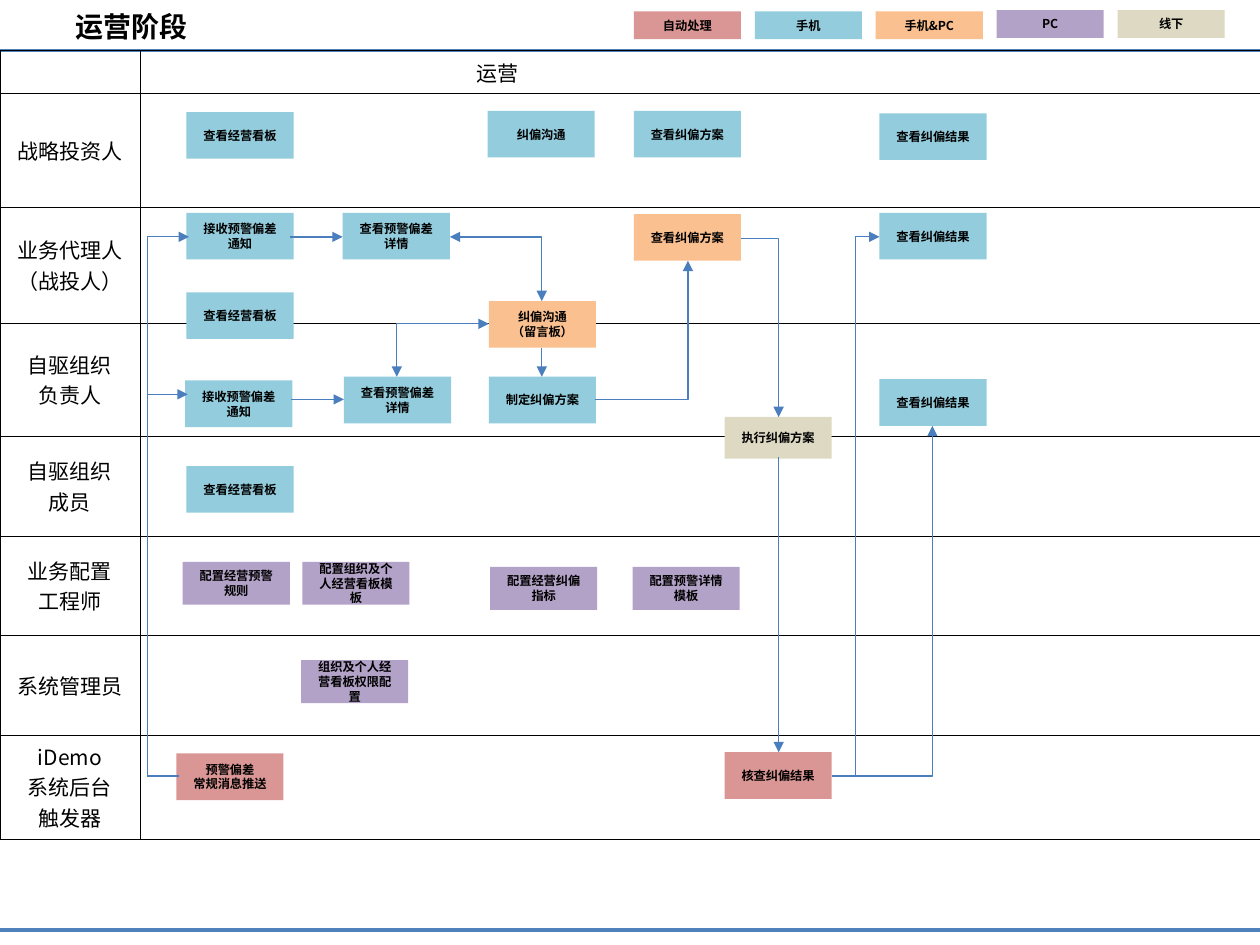
from dataclasses import dataclass

from lxml import etree
from pptx import Presentation
from pptx import util as u
from pptx.dml.color import RGBColor
from pptx.enum import shapes, text
from pptx.oxml.ns import qn


@dataclass(frozen=True)
class Theme:
    """Colours, font and type sizes of the slide."""
    font: str = "Noto Sans CJK SC"
    ink: str = "000000"
    frame: str = "4F81BD"
    flow: str = "4B7EBC"
    auto: str = "D99694"
    phone: str = "93CDDD"
    both: str = "FAC090"
    pc: str = "B3A2C7"
    offline: str = "DDD9C3"
    title_pt: float = 16
    lane_pt: float = 12
    box_pt: float = 7


T = Theme()
BOX_W, BOX_H, PC_H = 0.85, 0.37, 0.34

LANES = [  # label, row height
    ("", 0.34), ("战略投资人", 0.9), ("业务代理人\n（战投人）", 0.92),
    ("自驱组织\n负责人", 0.9), ("自驱组织\n成员", 0.79), ("业务配置\n工程师", 0.79),
    ("系统管理员", 0.79), ("iDemo\n系统后台\n触发器", 0.82),
]
LEGEND = [("自动处理", T.auto, 0.09), ("手机", T.phone, 0.09), ("手机&PC", T.both, 0.09),
          ("PC", T.pc, 0.08), ("线下", T.offline, 0.08)]
STEPS = {  # (fill, height): text, left, top
    (T.phone, BOX_H): [
        ("查看经营看板", 1.48, 0.89), ("纠偏沟通", 3.87, 0.88),
        ("查看纠偏方案", 5.03, 0.88), ("查看纠偏结果", 6.98, 0.9),
        ("接收预警偏差通知", 1.48, 1.69), ("查看预警偏差详情", 2.72, 1.69),
        ("查看纠偏结果", 6.98, 1.69), ("查看经营看板", 1.48, 2.32),
        ("接收预警偏差通知", 1.47, 3.02), ("查看预警偏差详情", 2.73, 2.99),
        ("制定纠偏方案", 3.88, 2.99), ("查看纠偏结果", 6.98, 3.01),
        ("查看经营看板", 1.48, 3.7)],
    (T.both, BOX_H): [("查看纠偏方案", 5.03, 1.7), ("纠偏沟通\n（留言板）", 3.88, 2.39)],
    (T.offline, 0.33): [("执行纠偏方案", 5.75, 3.31)],
    (T.pc, PC_H): [
        ("配置经营预警规则", 1.45, 4.46), ("配置组织及个人经营看板模板", 2.4, 4.46),
        ("配置经营纠偏指标", 3.89, 4.5), ("配置预警详情模板", 5.02, 4.5),
        ("组织及个人经营看板权限配置", 2.39, 5.24)],
    (T.auto, BOX_H): [("预警偏差\n常规消息推送", 1.4, 5.98), ("核查纠偏结果", 5.75, 5.97)],
}
STRAIGHT = [((2.3, 1.88), (2.72, 1.88)), ((2.31, 3.17), (2.73, 3.17)),
            ((4.3, 2.76), (4.3, 2.99)), ((6.18, 3.63), (6.18, 5.97))]
CORNERS = [  # start, end, arrowhead at both ends
    ((3.88, 2.57), (3.15, 2.99), True), ((3.57, 1.88), (4.3, 2.39), True),
    ((4.72, 3.17), (5.46, 2.07), False), ((5.88, 1.89), (6.18, 3.31), False),
    ((6.6, 6.16), (7.4, 3.38), False)]
DETOURS = [  # start, end, x of the vertical leg
    ((1.42, 6.16), (1.49, 3.13), 1.17), ((1.42, 6.16), (1.5, 1.88), 1.17),
    ((6.6, 6.16), (6.98, 1.88), 6.79)]


def rgb(value):
    """Turn a hex string into a colour."""
    return RGBColor.from_string(value)


def write(tf, content, size, bold=False, align=text.PP_ALIGN.CENTER):
    """Fill a text frame, one paragraph a line, in the theme font."""
    tf.text = content
    for p in tf.paragraphs:
        p.alignment = align
        f = p.font
        f.name, f.size, f.bold = T.font, u.Pt(size), bold
        f.color.rgb = rgb(T.ink)
        latin = f._rPr.find(qn("a:latin"))
        ea = etree.Element(qn("a:ea"), typeface=T.font)
        latin.addnext(ea)


def add_box(s, content, left, top, height, fill):
    """Add a filled rectangle with a bold centred label."""
    sp = s.shapes.add_shape(shapes.MSO_SHAPE.RECTANGLE, u.Inches(left), u.Inches(top),
                            u.Inches(BOX_W), u.Inches(height))
    sp.shadow.inherit = False
    sp.fill.solid()
    sp.fill.fore_color.rgb = rgb(fill)
    sp.line.fill.background()
    sp.text_frame.vertical_anchor = text.MSO_ANCHOR.MIDDLE
    write(sp.text_frame, content, T.box_pt, bold=True)


def add_flow(s, start, end, bend=None, via=None, both=False):
    """Add an arrow: straight, with one corner, or with a vertical leg at via."""
    kind = shapes.MSO_CONNECTOR.ELBOW if bend else shapes.MSO_CONNECTOR.STRAIGHT
    cn = s.shapes.add_connector(kind, *(u.Inches(v) for v in start + end))
    cn.line.color.rgb = rgb(T.flow)
    cn.line.width = u.Pt(0.75)
    ln = cn.line._get_or_add_ln()
    for tag in ("a:headEnd", "a:tailEnd") if both else ("a:tailEnd",):
        etree.SubElement(ln, qn(tag), type="triangle")
    sp_pr = cn._element.spPr
    etree.SubElement(sp_pr, qn("a:effectLst"))
    if bend:
        geom = sp_pr.find(qn("a:prstGeom"))
        geom.set("prst", bend)
        if via is not None:
            ratio = round((via - start[0]) / (end[0] - start[0]) * 100000)
            guides = geom.find(qn("a:avLst"))
            etree.SubElement(guides, qn("a:gd"), name="adj1", fmla=f"val {ratio}")


def add_grid(s, left, top, widths, heights, color, weight):
    """Add an unfilled table with one border style on all sides."""
    frame = s.shapes.add_table(len(heights), len(widths), u.Inches(left), u.Inches(top),
                               u.Inches(sum(widths)), u.Inches(sum(heights)))
    tbl = frame.table
    tbl.first_row = tbl.horz_banding = False
    for col, width in zip(tbl.columns, widths):
        col.width = u.Inches(width)
    for row, height in zip(tbl.rows, heights):
        row.height = u.Inches(height)
    for cell in tbl.iter_cells():
        cell.vertical_anchor = text.MSO_ANCHOR.MIDDLE
        cell.fill.background()
        pr = cell._tc.get_or_add_tcPr()
        for i, side in enumerate(("lnL", "lnR", "lnT", "lnB")):
            ln = etree.Element(qn(f"a:{side}"), w=str(u.Pt(weight)))
            fill = etree.SubElement(ln, qn("a:solidFill"))
            etree.SubElement(fill, qn("a:srgbClr"), val=color)
            pr.insert(i, ln)
    return tbl


def add_title(s, content):
    """Place and format the title placeholder."""
    sp = s.shapes.title
    sp.left, sp.top, sp.width, sp.height = (u.Inches(v) for v in (0, 0.01, 2.09, 0.39))
    sp.text_frame.vertical_anchor = text.MSO_ANCHOR.MIDDLE
    write(sp.text_frame, content, T.title_pt, bold=True)


def add_lanes(s):
    """Add the swimlane table with its role labels and phase heading."""
    tbl = add_grid(s, 0, 0.4, [1.11, 8.89], [h for _, h in LANES], T.ink, 0.25)
    for i, (label, _) in enumerate(LANES):
        write(tbl.cell(i, 0).text_frame, label, T.lane_pt)
    phase = tbl.cell(0, 1)
    phase.margin_left = u.Inches(2.67)
    write(phase.text_frame, "运营", T.lane_pt, align=text.PP_ALIGN.LEFT)


def main():
    """Build the slide and save it."""
    prs = Presentation()
    prs.slide_width, prs.slide_height = u.Inches(10), u.Inches(7.5)
    s = prs.slides.add_slide(prs.slide_layouts[5])
    add_grid(s, -0.02, 0.4, [10.03], [6.98], T.frame, 2.25)
    add_title(s, "运营阶段")
    add_lanes(s)
    for i, (label, fill, top) in enumerate(LEGEND):
        add_box(s, label, 5.03 + 0.96 * i, top, 0.22, fill)
    for (fill, height), steps in STEPS.items():
        for label, left, top in steps:
            add_box(s, label, left, top, height, fill)
    for start, end in STRAIGHT:
        add_flow(s, start, end)
    for start, end, both in CORNERS:
        add_flow(s, start, end, "bentConnector2", both=both)
    for start, end, via in DETOURS:
        add_flow(s, start, end, "bentConnector3", via)
    prs.save("out.pptx")


main()
